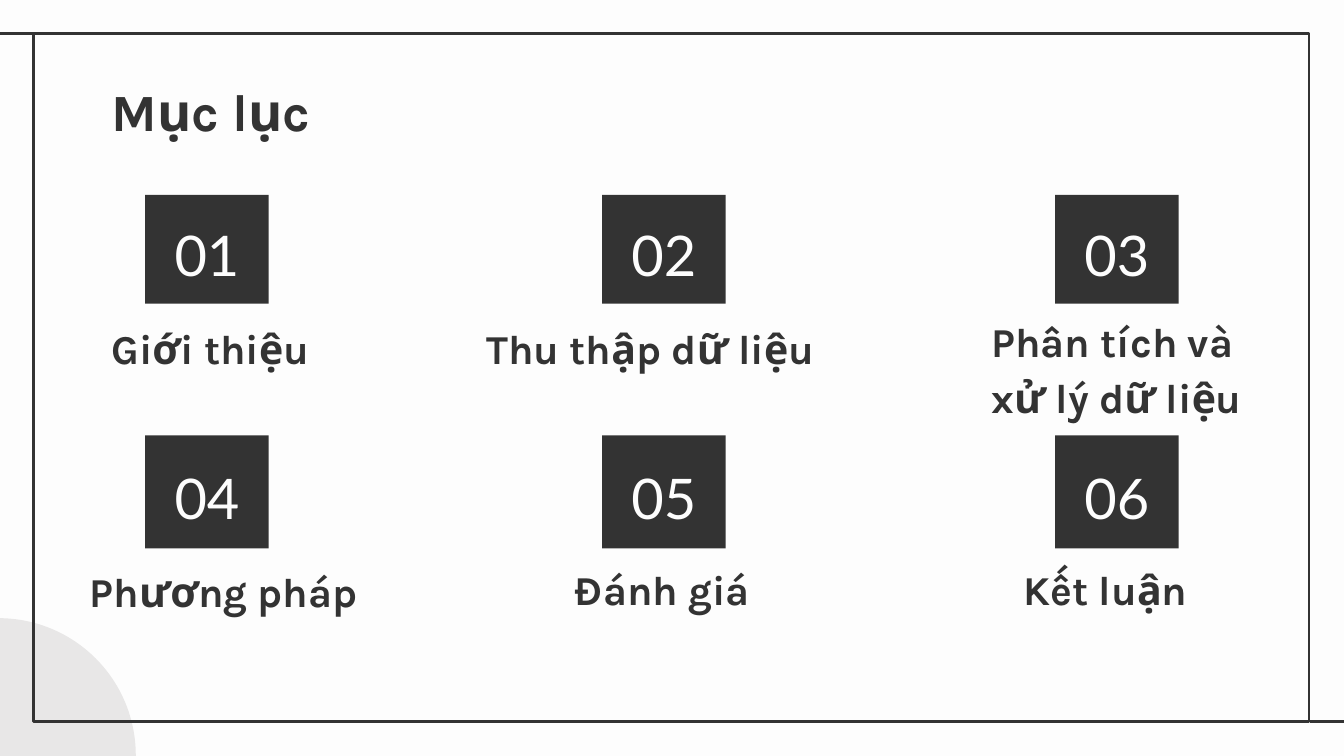
from pptx import Presentation
from pptx.dml.color import RGBColor
from pptx.enum.shapes import MSO_CONNECTOR as Link, MSO_SHAPE as Kind
from pptx.enum.text import MSO_ANCHOR as Anchor, MSO_AUTO_SIZE as Fit, PP_ALIGN as Align
from pptx.oxml.ns import qn
from pptx.util import Inches, Pt
from lxml.etree import SubElement

DARK, PALE, GREY = "333333", "FDFDFD", "E8E7E7"


def paint(form, tone):
    form.solid()
    form.fore_color.rgb = RGBColor.from_string(tone)


def write(shape, text, font, size, tone, bold, anchor, align, space):
    frame = shape.text_frame
    frame.text = text
    frame.word_wrap = True
    frame.auto_size = Fit.NONE
    frame.vertical_anchor = anchor
    frame.margin_left = frame.margin_right = Inches(0.1)
    frame.margin_top = frame.margin_bottom = Inches(0.1)
    for par in frame.paragraphs:
        par.alignment = align
        par.line_spacing = space
        for run in par.runs:
            run.font.name = font
            run.font.size = Pt(size)
            run.font.bold = bold
            paint(run.font.fill, tone)


# A 16:9 slide
deck = Presentation()
deck.slide_width = Inches(10)
deck.slide_height = deck.slide_width * 9 // 16
slide = deck.slides.add_slide(deck.slide_layouts[5])
paint(slide.background.fill, PALE)
shapes = slide.shapes

# Corner disc
disc = shapes.add_shape(Kind.OVAL, *map(Inches, (-1.03, 4.6, 2.04, 2.04)))
disc.shadow.inherit = False
paint(disc.fill, GREY)
disc.line.fill.background()

# Frame with a tail at two corners
border = shapes.add_shape(Kind.RECTANGLE, *map(Inches, (0.25, 0.25, 9.49, 5.12)))
border.shadow.inherit = False
border.fill.background()
paint(border.line.fill, DARK)
border.line.width = Pt(1.5)
for start, end, y in ((0.26, -0.02, 0.25), (10.03, 9.75, 5.37)):
    tail = shapes.add_connector(Link.STRAIGHT, *map(Inches, (start, y, end, y)))
    paint(tail.line.fill, DARK)
    tail.line.width = Pt(1.5)
    SubElement(tail._element.spPr, qn("a:effectLst"))

# Title
title = shapes.title
title.left, title.top, title.width, title.height = map(Inches, (0.73, 0.49, 8.43, 0.63))
write(title, "Mục lục", "Karla", 28, DARK, True, Anchor.TOP, Align.LEFT, 1)

# Numbered tiles: three columns, two rows
cols = (1.08, 4.48, 7.85)
rows = ((1.45, 0.81), (3.24, 0.84))
# Each label: text, left, top, width, height
labels = (
    ("Giới thiệu", 0.73, 2.45, 1.71, 0.42),
    ("Thu thập dữ liệu", 3.52, 2.45, 2.85, 0.42),
    ("Phân tích và\vxử lý dữ liệu", 7.28, 2.49, 2.46, 0.75),
    ("Phương pháp", 0.57, 4.26, 2.29, 0.42),
    ("Đánh giá", 4.18, 4.25, 1.76, 0.42),
    ("Kết luận", 7.52, 4.25, 1.76, 0.42),
)
for i, (text, *place) in enumerate(labels):
    top, high = rows[i // 3]
    tile = shapes.add_shape(Kind.RECTANGLE, *map(Inches, (cols[i % 3], top, 0.92, high)))
    tile.shadow.inherit = False
    paint(tile.fill, DARK)
    tile.line.fill.background()
    write(tile, f"{i + 1:02}", "Lato", 30, PALE, False, Anchor.MIDDLE, Align.CENTER, 1.15)
    label = shapes.add_textbox(*map(Inches, place))
    write(label, text, "Karla", 22, DARK, True, Anchor.BOTTOM, Align.LEFT, 1.15)

deck.save("out.pptx")
